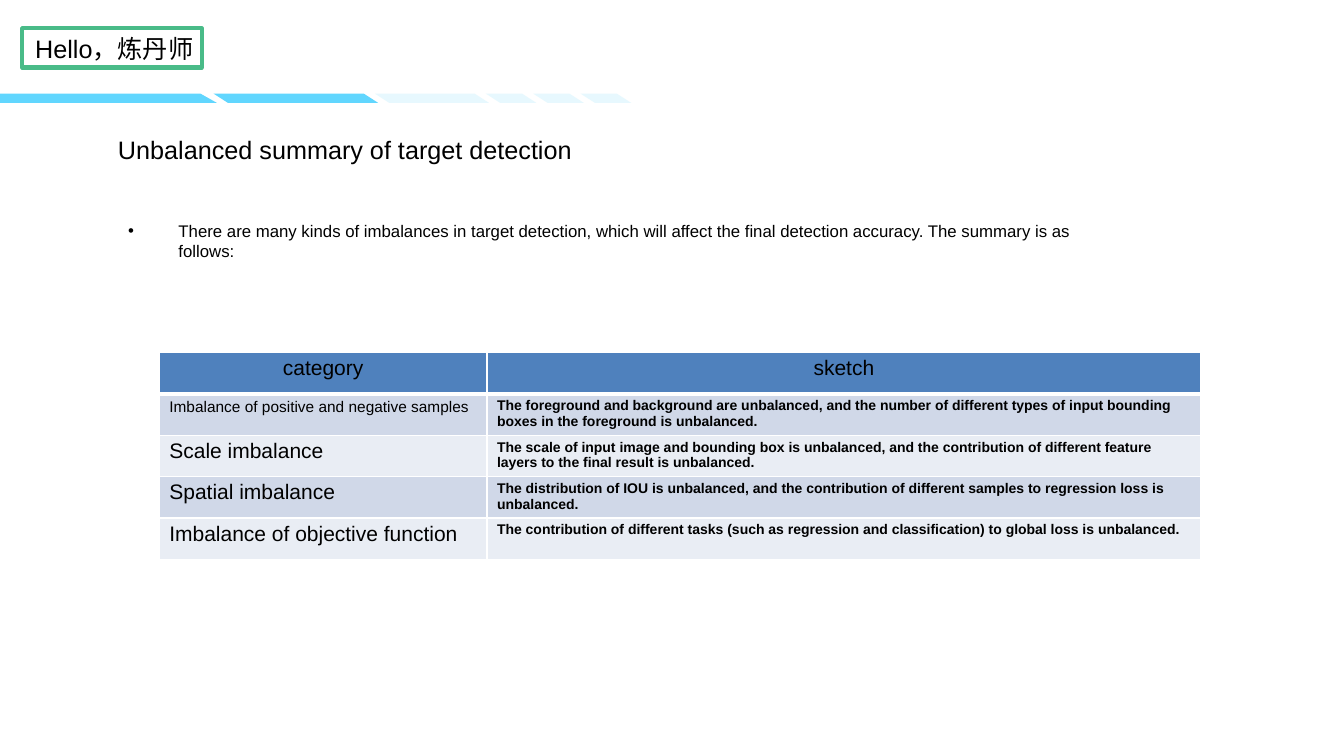
from dataclasses import dataclass

from lxml import etree
from pptx import Presentation
from pptx.dml.color import RGBColor
from pptx.enum.text import MSO_ANCHOR, MSO_AUTO_SIZE, PP_ALIGN
from pptx.enum.shapes import MSO_SHAPE
from pptx.oxml.ns import qn
from pptx.util import Pt

EMU_PER_PX = 9144  # 100 px to the inch
FONT = "Arial"
BLACK = RGBColor(0x00, 0x00, 0x00)
WHITE = RGBColor(0xFF, 0xFF, 0xFF)
SKY = RGBColor(0x61, 0xD6, 0xFE)
GREEN = RGBColor(0x49, 0xBB, 0x88)
HEADER_BLUE = RGBColor(0x4F, 0x81, 0xBD)
BANDS = (RGBColor(0xD0, 0xD8, 0xE8), RGBColor(0xE9, 0xED, 0xF4))
TOP = MSO_ANCHOR.TOP
NO_AUTOFIT = MSO_AUTO_SIZE.NONE
LEFT, CENTER = PP_ALIGN.LEFT, PP_ALIGN.CENTER
RECTANGLE = MSO_SHAPE.RECTANGLE

STRIPE_TOP, STRIPE_BOTTOM = 93, 102
ROW_HEIGHT = 41
COLUMN_WIDTHS = (325, 708)


@dataclass(frozen=True)
class Stripe:
    """A slanted bar; start and end are measured along its top edge."""
    start: int
    end: int
    left_slant: int = 14
    right_slant: int = 14

    def corners(self) -> list[tuple[int, int]]:
        return [(self.start, STRIPE_TOP), (self.end, STRIPE_TOP),
                (self.end + self.right_slant, STRIPE_BOTTOM),
                (self.start + self.left_slant, STRIPE_BOTTOM)]


@dataclass(frozen=True)
class Imbalance:
    category: str
    sketch: str
    category_size: int = 15


DARK_STRIPES = [Stripe(0, 199, 0, 16), Stripe(212, 361)]
LIGHT_STRIPES = [Stripe(372, 471)] + [Stripe(482 + 47 * i, 518 + 47 * i) for i in range(3)]

IMBALANCES = [
    Imbalance("Imbalance of positive and negative samples",
              "The foreground and background are unbalanced, and the number of different types "
              "of input bounding boxes in the foreground is unbalanced.", 11),
    Imbalance("Scale imbalance",
              "The scale of input image and bounding box is unbalanced, and the contribution of "
              "different feature layers to the final result is unbalanced."),
    Imbalance("Spatial imbalance",
              "The distribution of IOU is unbalanced, and the contribution of different samples "
              "to regression loss is unbalanced."),
    Imbalance("Imbalance of objective function",
              "The contribution of different tasks (such as regression and classification) "
              "to global loss is unbalanced."),
]


def px(length: int) -> int:
    return length * EMU_PER_PX


def place(shape, left: int, top: int, width: int, height: int) -> None:
    shape.left, shape.top = px(left), px(top)
    shape.width, shape.height = px(width), px(height)


def write(paragraph, text: str, size: int, bold: bool = False, align=LEFT) -> None:
    paragraph.alignment = align
    run = paragraph.add_run()
    run.text = text
    run.font.name = FONT
    run.font.size = Pt(size)
    run.font.bold = bold
    run.font.color.rgb = BLACK


def prepare_frame(frame, inset_x: int, inset_y: int):
    """Fix the frame's layout and return its first paragraph."""
    frame.word_wrap = True
    frame.auto_size = NO_AUTOFIT
    frame.vertical_anchor = TOP
    frame.margin_left = frame.margin_right = px(inset_x)
    frame.margin_top = frame.margin_bottom = px(inset_y)
    return frame.paragraphs[0]


def draw_stripes(slide, stripes: list[Stripe], opacity: int = 100) -> None:
    builder = None
    for stripe in stripes:
        first, *others = stripe.corners()
        if builder is None:
            builder = slide.shapes.build_freeform(*first, scale=EMU_PER_PX)
        else:
            builder.move_to(*first)
        builder.add_line_segments(others, close=True)
    band = builder.convert_to_shape()
    band.shadow.inherit = False
    band.line.fill.background()
    band.fill.solid()
    band.fill.fore_color.rgb = SKY
    if opacity < 100:
        color = band._element.spPr.find(qn("a:solidFill")).find(qn("a:srgbClr"))
        etree.SubElement(color, qn("a:alpha"), val=str(opacity * 1000))


def draw_badge(slide) -> None:
    border = slide.shapes.add_shape(RECTANGLE, px(22), px(28), px(178), px(39))
    border.shadow.inherit = False
    border.fill.background()
    border.line.color.rgb = GREEN
    border.line.width = Pt(3)
    greeting = slide.shapes.add_textbox(px(25), px(28), px(508), px(31))
    write(prepare_frame(greeting.text_frame, 10, 5), "Hello，炼丹师", 18)


def fill_placeholders(slide) -> None:
    title, body = slide.shapes.title, slide.placeholders[1]
    place(title, 117, 133, 476, 54)
    write(prepare_frame(title.text_frame, 0, 0), "Unbalanced summary of target detection", 18)

    place(body, 117, 214, 1008, 40)
    summary = prepare_frame(body.text_frame, 10, 5)
    properties = summary._p.get_or_add_pPr()
    properties.set("marL", str(px(50)))
    properties.set("indent", str(px(-50)))
    summary.space_before = Pt(0)
    etree.SubElement(properties, qn("a:buFont"), typeface=FONT)
    etree.SubElement(properties, qn("a:buChar"), char="•")
    write(summary, "There are many kinds of imbalances in target detection, which will affect "
                   "the final detection accuracy. The summary is as follows:", 12)


def set_borders(cell, top: int, bottom: int) -> None:
    properties = cell._tc.get_or_add_tcPr()
    widths = {"lnL": 1, "lnR": 1, "lnT": top, "lnB": bottom}
    for position, (side, width) in enumerate(widths.items()):
        line = etree.Element(qn(f"a:{side}"), w=str(Pt(width)))
        fill = etree.SubElement(line, qn("a:solidFill"))
        etree.SubElement(fill, qn("a:srgbClr"), val=str(WHITE))
        properties.insert(position, line)


def format_cell(cell, row: int) -> None:
    cell.margin_left = cell.margin_right = px(10)
    cell.margin_top = cell.margin_bottom = px(4)
    cell.vertical_anchor = TOP
    cell.fill.solid()
    cell.fill.fore_color.rgb = BANDS[(row - 1) % 2] if row else HEADER_BLUE
    set_borders(cell, top=3 if row == 1 else 1, bottom=1 if row else 3)


def draw_table(slide) -> None:
    row_count = len(IMBALANCES) + 1
    table = slide.shapes.add_table(row_count, 2, px(158), px(350), px(sum(COLUMN_WIDTHS)),
                                   px(row_count * ROW_HEIGHT)).table
    for column, width in zip(table.columns, COLUMN_WIDTHS):
        column.width = px(width)
    for row_index, row in enumerate(table.rows):
        row.height = px(ROW_HEIGHT)
        for cell in row.cells:
            format_cell(cell, row_index)

    for column, heading in enumerate(("category", "sketch")):
        write(table.cell(0, column).text_frame.paragraphs[0], heading, 15, align=CENTER)
    for row_index, item in enumerate(IMBALANCES, start=1):
        category, sketch = (table.cell(row_index, column).text_frame.paragraphs[0]
                            for column in range(2))
        write(category, item.category, item.category_size)
        write(sketch, item.sketch, 10, bold=True)


def main() -> None:
    presentation = Presentation()
    presentation.slide_width, presentation.slide_height = px(1333), px(750)
    slide = presentation.slides.add_slide(presentation.slide_layouts[1])
    draw_stripes(slide, DARK_STRIPES)
    draw_stripes(slide, LIGHT_STRIPES, opacity=15)
    draw_badge(slide)
    fill_placeholders(slide)
    draw_table(slide)
    presentation.save("out.pptx")


if __name__ == "__main__":
    main()
